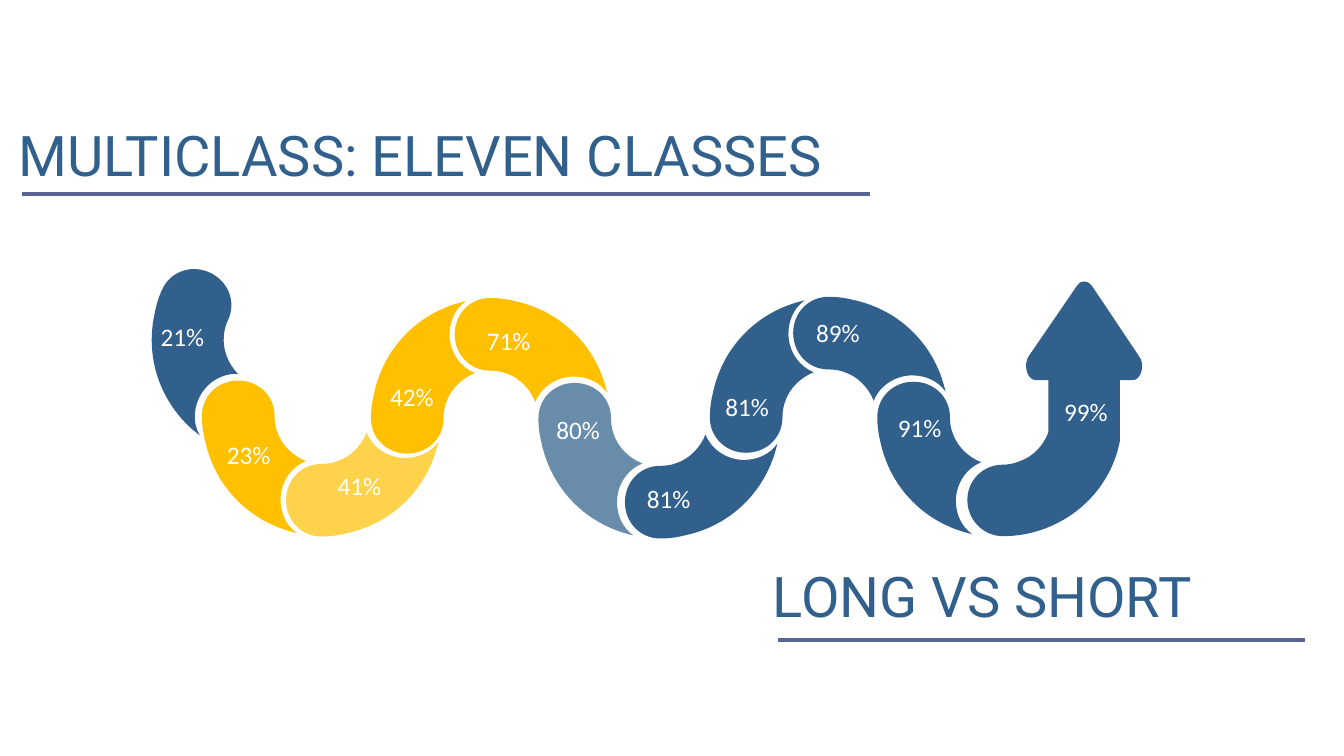
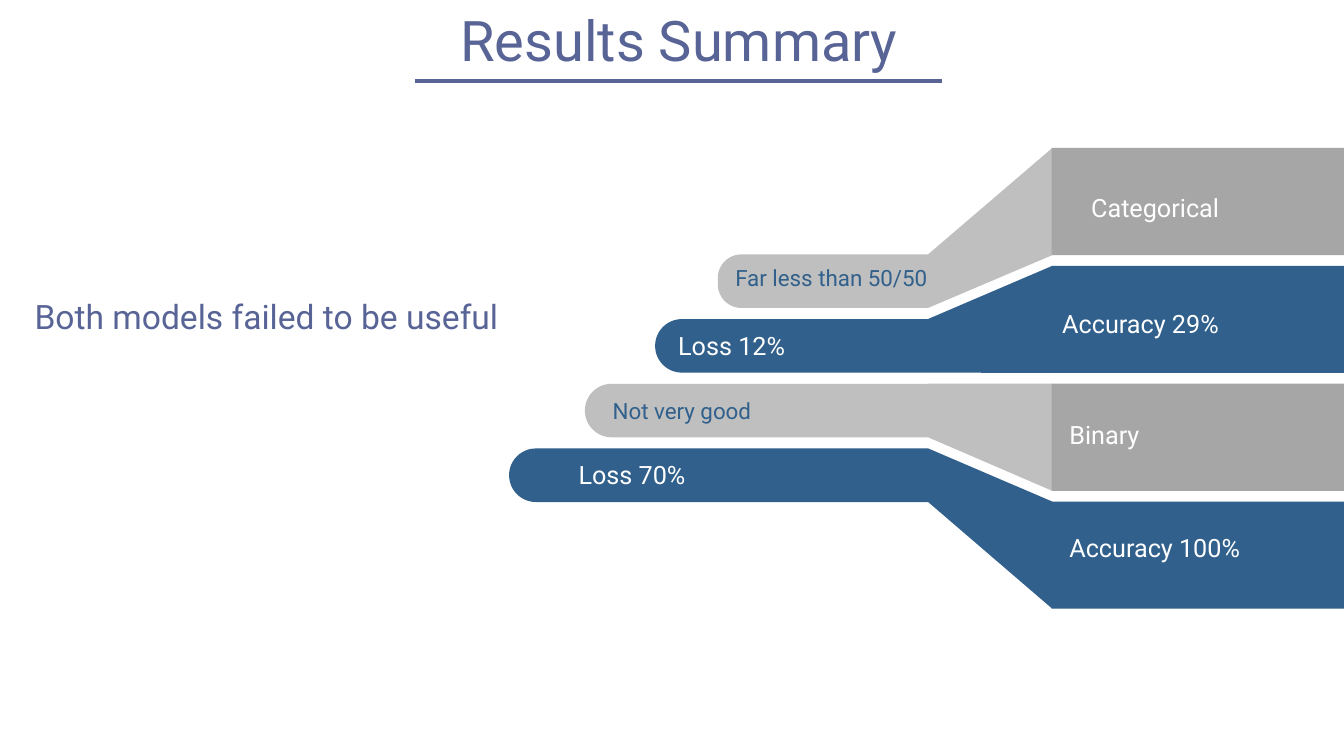
"""Build two result slides: a winding accuracy path and a summary of both models."""
from lxml import etree
from pptx import Presentation
from pptx import util as u
from pptx.dml.color import RGBColor
from pptx.enum import shapes, text
from pptx.oxml import ns

Cm = u.Cm
rgb = RGBColor.from_string
BLUE, INDIGO, YELLOW, WHITE = "30608B", "586496", "FFC000", "FFFFFF"
LIGHT, GREY = "BFBFBF", "A6A6A6"
HEADING = {"size": u.Pt(40), "name": "Roboto"}
STATEMENT = {"size": u.Pt(24), "name": "Roboto"}
FIGURE = {"size": u.Pt(18), "name": "Roboto"}
REMARK = {"size": u.Pt(16), "name": "Roboto"}
PERCENT = {"size": u.Pt(18), "name": "Calibri"}


def write(sp, box, words, font, color, **para):
    """Place a text shape and fill it with one formatted paragraph."""
    sp.left, sp.top, sp.width, sp.height = [Cm(v) for v in box]
    tf = sp.text_frame
    frame = {"word_wrap": True, "auto_size": text.MSO_AUTO_SIZE.NONE,
             "vertical_anchor": text.MSO_ANCHOR.TOP,
             "margin_left": Cm(0.25), "margin_right": Cm(0.25),
             "margin_top": Cm(0.13), "margin_bottom": Cm(0.13)}
    p = tf.paragraphs[0]
    r = p.add_run()
    r.text = words
    layout = {"alignment": text.PP_ALIGN.LEFT, "space_before": u.Pt(0), **para}
    for target, values in ((tf, frame), (p, layout), (r.font, font)):
        for key, value in values.items():
            setattr(target, key, value)
    r.font.color.rgb = rgb(color)
    return p


def outline(s, segments, color):
    """Draw a filled outline from straight (one point) and curved (three point) segments."""
    start, *rest = [[(Cm(x), Cm(y)) for x, y in seg] for seg in segments]
    builder = s.shapes.build_freeform(*start[0])
    builder.add_line_segments([point for seg in rest for point in seg], close=True)
    sp = builder.convert_to_shape()
    lines = iter(list(sp._element.iter(ns.qn("a:lnTo"))))
    for seg in rest:
        first = next(lines)
        if len(seg) == 3:
            first.tag = ns.qn("a:cubicBezTo")
            for _ in range(2):
                extra = next(lines)
                first.append(extra[0])
                extra.getparent().remove(extra)
    sp.shadow.inherit = False
    sp.fill.solid()
    sp.fill.fore_color.rgb = rgb(color)
    sp.line.fill.background()
    return sp


prs = Presentation()
prs.slide_width, prs.slide_height = Cm(33.87), Cm(19.05)
path_slide = prs.slides.add_slide(prs.slide_layouts[5])
summary_slide = prs.slides.add_slide(prs.slide_layouts[1])

s = path_slide
write(s.shapes.title, (0.21, 2.79, 26.34, 1.98), "MULTICLASS: ELEVEN CLASSES",
      HEADING, BLUE, line_spacing=1.07)

BEND_W, BEND_H = 2.62, 3.84
BEND = [
    ((0, 0.89),),
    ((0, 1.12), (0.03, 1.32), (0.08, 1.52)),
    ((0.33, 2.69), (1.22, 3.58), (2.39, 3.84)),
    ((2.13, 3.66), (1.98, 3.35), (1.98, 3)),
    ((1.98, 2.57), (2.24, 2.18), (2.62, 2.03)),
    ((2.29, 1.9), (2.01, 1.63), (1.9, 1.3)),
    ((1.85, 1.17), (1.83, 1.04), (1.83, 0.89)),
    ((1.83, 0.38), (1.42, 0), (0.91, 0)),
    ((0.41, 0), (0, 0.38), (0, 0.89)),
]
TURNS = {
    "down": lambda x, y: (x, y),
    "bottom": lambda x, y: (y, BEND_W - x),
    "up": lambda x, y: (x, BEND_H - y),
    "top": lambda x, y: (y, x),
}
bends = [
    ("down", 3.54, 6.86, BLUE, 100, 24.5),
    ("down", 5.09, 9.59, YELLOW, 100, 0),
    ("bottom", 7.21, 10.9, YELLOW, 70, 0),
    ("up", 9.35, 7.59, YELLOW, 100, 0),
    ("top", 11.46, 7.51, YELLOW, 100, 0),
    ("down", 13.57, 9.65, BLUE, 72, 0),
    ("bottom", 15.75, 10.95, BLUE, 100, 0),
    ("up", 17.89, 7.57, BLUE, 100, 0),
    ("top", 19.99, 7.48, BLUE, 100, 0),
    ("down", 22.11, 9.62, BLUE, 100, 0),
]
for turn, left, top, color, opacity, angle in bends:
    placed = []
    for seg in BEND:
        turned = [TURNS[turn](*point) for point in seg]
        placed.append([(left + x, top + y) for x, y in turned])
    sp = outline(s, placed, color)
    sp.rotation = angle
    if opacity < 100:
        clr = sp._element.spPr.find(".//" + ns.qn("a:srgbClr"))
        etree.SubElement(clr, ns.qn("a:alpha"), val=str(opacity * 1000))

arrow = [
    ((28.7, 8.97),),
    ((27.51, 7.19),),
    ((27.41, 7.06), (27.23, 7.06), (27.15, 7.19)),
    ((25.93, 8.97),),
    ((25.78, 9.19), (25.88, 9.58), (26.11, 9.58)),
    ((26.42, 9.58),),
    ((26.42, 10.9),),
    ((26.29, 11.23), (26.04, 11.51), (25.68, 11.63)),
    ((25.55, 11.68), (25.43, 11.71), (25.27, 11.71)),
    ((24.79, 11.71), (24.38, 12.09), (24.38, 12.6)),
    ((24.38, 13.11), (24.79, 13.51), (25.27, 13.51)),
    ((25.5, 13.51), (25.7, 13.49), (25.93, 13.44)),
    ((27.08, 13.18), (27.99, 12.29), (28.22, 11.13)),
    ((28.22, 9.58),),
    ((28.55, 9.58),),
    ((28.75, 9.58), (28.88, 9.19), (28.7, 8.97)),
]
outline(s, arrow, BLUE)

percents = [
    ("21%", 3.8, 7.96), ("23%", 5.47, 10.93), ("41%", 8.26, 11.73),
    ("42%", 9.58, 9.47), ("71%", 12.02, 8.06), ("80%", 13.77, 10.31),
    ("81%", 16.05, 12.06), ("81%", 18.03, 9.73), ("89%", 20.32, 7.87),
    ("91%", 22.38, 10.26), ("99%", 26.57, 9.86),
]
for words, left, top in percents:
    write(s.shapes.add_textbox(0, 0, 0, 0), (left, top, 1.65, 1.02), words, PERCENT, WHITE)
write(s.shapes.add_textbox(0, 0, 0, 0), (19.23, 13.89, 14.5, 1.98), "LONG VS SHORT",
      HEADING, BLUE, line_spacing=1.07)

s = summary_slide
write(s.shapes.title, (9.86, 0, 14.5, 1.96), "Results Summary", HEADING, INDIGO,
      alignment=text.PP_ALIGN.CENTER)
p = write(s.placeholders[1], (0.62, 7.44, 13.08, 1.78), "Both models failed to be useful",
          STATEMENT, INDIGO, line_spacing=0.9)
pPr = p._p.get_or_add_pPr()
pPr.set("marL", "0")
pPr.set("indent", "0")
etree.SubElement(pPr, ns.qn("a:buNone"))

BAR_TOP, BAR_H, BAR_STEP, BAR_RIGHT = 6.41, 1.35, 1.63, 23.39
BLOCK_TOP, BLOCK_H, BLOCK_STEP, BLOCK_LEFT = 3.73, 2.7, 2.97, 26.5
rows = [
    (18.09, 0.44, LIGHT, GREY, ("Far less than 50/50", 18.28, 6.48), ("Categorical", 27.25, 4.72)),
    (16.51, 0.5, BLUE, BLUE, ("Loss 12%", 16.84, 8.2), ("Accuracy 29%", 26.52, 7.65)),
    (14.74, 0.5, LIGHT, GREY, ("Not very good", 15.19, 9.83), ("Binary", 26.7, 10.44)),
    (12.83, 0.5, BLUE, BLUE, ("Loss 70%", 14.33, 11.44), ("Accuracy 100%", 26.7, 13.28)),
]
for i, (left, corner, bar_color, block_color, bar_label, block_label) in enumerate(rows):
    bar_y, block_y = BAR_TOP + i * BAR_STEP, BLOCK_TOP + i * BLOCK_STEP
    length = BAR_RIGHT - left
    bar = s.shapes.add_shape(
        shapes.MSO_SHAPE.ROUND_2_SAME_RECTANGLE,
        Cm(left + (length - BAR_H) / 2), Cm(bar_y - (length - BAR_H) / 2), Cm(BAR_H), Cm(length))
    bar.rotation = 270
    bar.adjustments[0] = corner
    joint = BLOCK_LEFT + 0.02
    outline(s, [((BAR_RIGHT, bar_y),), ((joint, block_y),),
                ((joint, block_y + BLOCK_H),), ((BAR_RIGHT, bar_y + BAR_H),)], bar_color)
    block = s.shapes.add_shape(shapes.MSO_SHAPE.RECTANGLE, Cm(BLOCK_LEFT), Cm(block_y),
                               prs.slide_width - Cm(BLOCK_LEFT), Cm(BLOCK_H))
    for sp, color in ((bar, bar_color), (block, block_color)):
        sp.shadow.inherit = False
        sp.fill.solid()
        sp.fill.fore_color.rgb = rgb(color)
        sp.line.fill.background()
    remark = bar_color == LIGHT
    for (words, x, y), font, color, spacing in (
            (bar_label, REMARK if remark else FIGURE, BLUE if remark else WHITE,
             1.07 if remark else 1),
            (block_label, FIGURE, WHITE, 1)):
        write(s.shapes.add_textbox(0, 0, 0, 0), (x, y, 6.5, 1.02), words, font, color,
              line_spacing=spacing)

for s, left, top, width in ((path_slide, 0.56, 4.88, 21.36), (path_slide, 19.61, 16.13, 13.28),
                            (summary_slide, 10.46, 2.04, 13.28)):
    rule = s.shapes.add_connector(shapes.MSO_CONNECTOR.STRAIGHT, Cm(left), Cm(top),
                                  Cm(left + width), Cm(top))
    rule.line.color.rgb = rgb(INDIGO)
    rule.line.width = u.Pt(3)
    etree.SubElement(rule._element.spPr, ns.qn("a:effectLst"))

prs.save("out.pptx")
